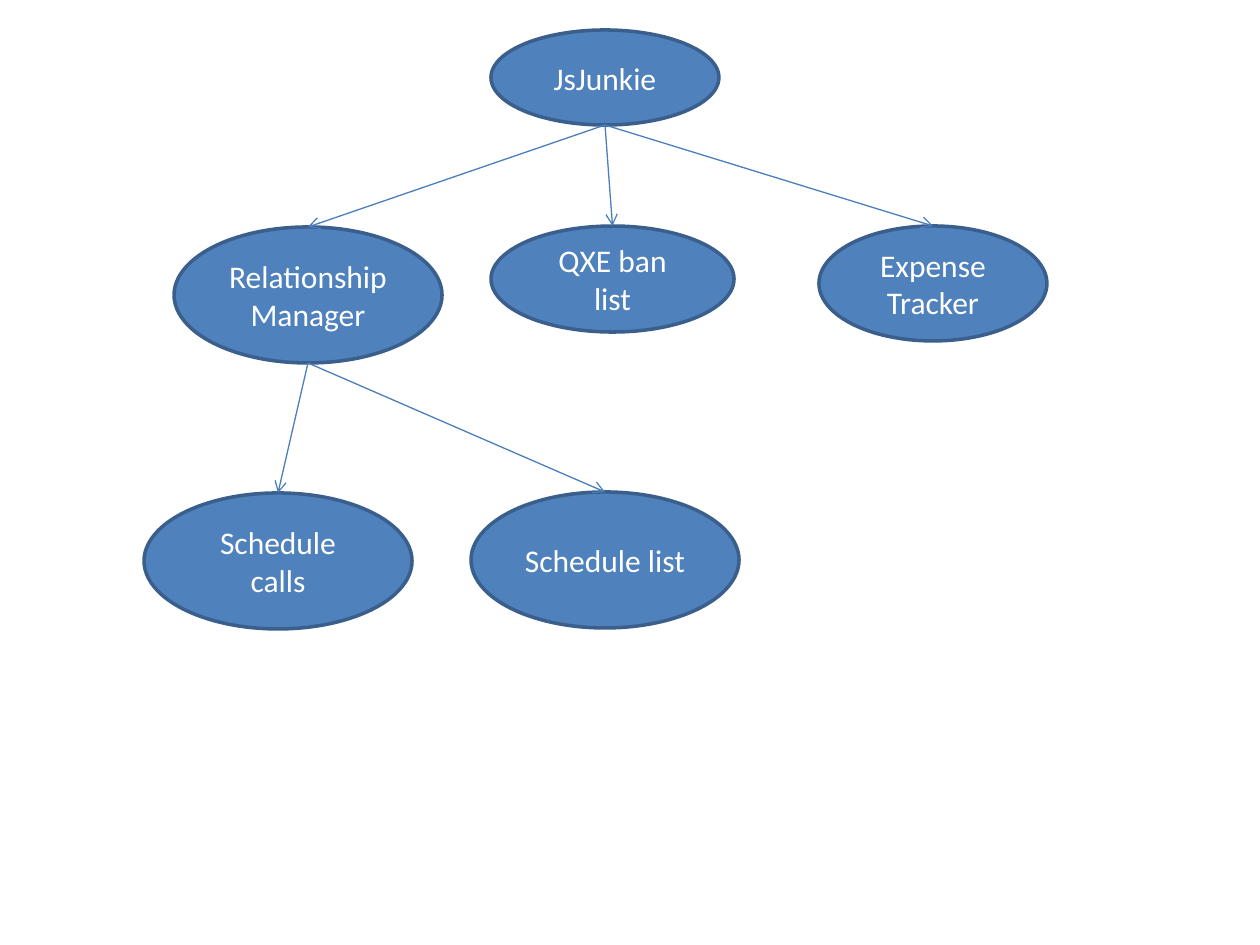
from dataclasses import dataclass

from lxml import etree
from pptx import Presentation
from pptx import util as u
from pptx.dml.color import RGBColor
from pptx.enum import shapes, text
from pptx.oxml.ns import qn
from pptx.slide import Slide

EMU_PER_PIXEL = 914400 / 126


@dataclass(frozen=True)
class Theme:
    fill: RGBColor = RGBColor(0x4F, 0x81, 0xBD)
    outline: RGBColor = RGBColor(0x3A, 0x5F, 0x8C)
    arrow: RGBColor = RGBColor(0x4B, 0x7E, 0xBC)
    label: RGBColor = RGBColor(0xFF, 0xFF, 0xFF)
    font: str = "Calibri"
    size: u.Pt = u.Pt(18)
    outline_width: u.Pt = u.Pt(2)
    arrow_width: u.Pt = u.Pt(0.75)


@dataclass(frozen=True)
class Node:
    label: str
    left: int
    top: int
    width: int
    height: int

    @property
    def center(self) -> float:
        return self.left + self.width / 2

    @property
    def bottom(self) -> int:
        return self.top + self.height


THEME = Theme()
ROOT = Node("JsJunkie", 491, 30, 228, 95)
RELATIONSHIPS = Node("Relationship Manager", 174, 227, 268, 136)
BAN_LIST = Node("QXE ban list", 491, 226, 243, 106)
EXPENSES = Node("Expense Tracker", 819, 226, 228, 115)
CALLS = Node("Schedule calls", 144, 493, 268, 136)
SCHEDULE = Node("Schedule list", 471, 492, 268, 136)
TREE = {
    ROOT: (EXPENSES, RELATIONSHIPS, BAN_LIST),
    RELATIONSHIPS: (CALLS, SCHEDULE),
}


def px(pixels: float) -> u.Emu:
    return u.Emu(round(pixels * EMU_PER_PIXEL))


def draw_node(slide: Slide, node: Node) -> None:
    shape = slide.shapes.add_shape(
        shapes.MSO_SHAPE.OVAL,
        px(node.left), px(node.top), px(node.width), px(node.height),
    )
    shape.shadow.inherit = False
    shape.fill.solid()
    shape.fill.fore_color.rgb = THEME.fill
    shape.line.color.rgb = THEME.outline
    shape.line.width = THEME.outline_width
    frame = shape.text_frame
    frame.word_wrap = True
    frame.vertical_anchor = text.MSO_ANCHOR.MIDDLE
    paragraph = frame.paragraphs[0]
    paragraph.text = node.label
    paragraph.alignment = text.PP_ALIGN.CENTER
    paragraph.font.name = THEME.font
    paragraph.font.size = THEME.size
    paragraph.font.color.rgb = THEME.label


def draw_arrow(slide: Slide, parent: Node, child: Node) -> None:
    connector = slide.shapes.add_connector(
        shapes.MSO_CONNECTOR.STRAIGHT,
        px(parent.center), px(parent.bottom), px(child.center), px(child.top),
    )
    connector.line.color.rgb = THEME.arrow
    connector.line.width = THEME.arrow_width
    properties = connector.line._get_or_add_ln()
    etree.SubElement(properties, qn("a:tailEnd"), type="arrow")
    etree.SubElement(connector._element.spPr, qn("a:effectLst"))


def main() -> None:
    presentation = Presentation()
    presentation.slide_width = px(1260)
    presentation.slide_height = px(945)
    slide = presentation.slides.add_slide(presentation.slide_layouts[6])
    draw_node(slide, ROOT)
    for parent, children in TREE.items():
        for child in children:
            draw_node(slide, child)
        for child in children:
            draw_arrow(slide, parent, child)
    presentation.save("out.pptx")


main()
